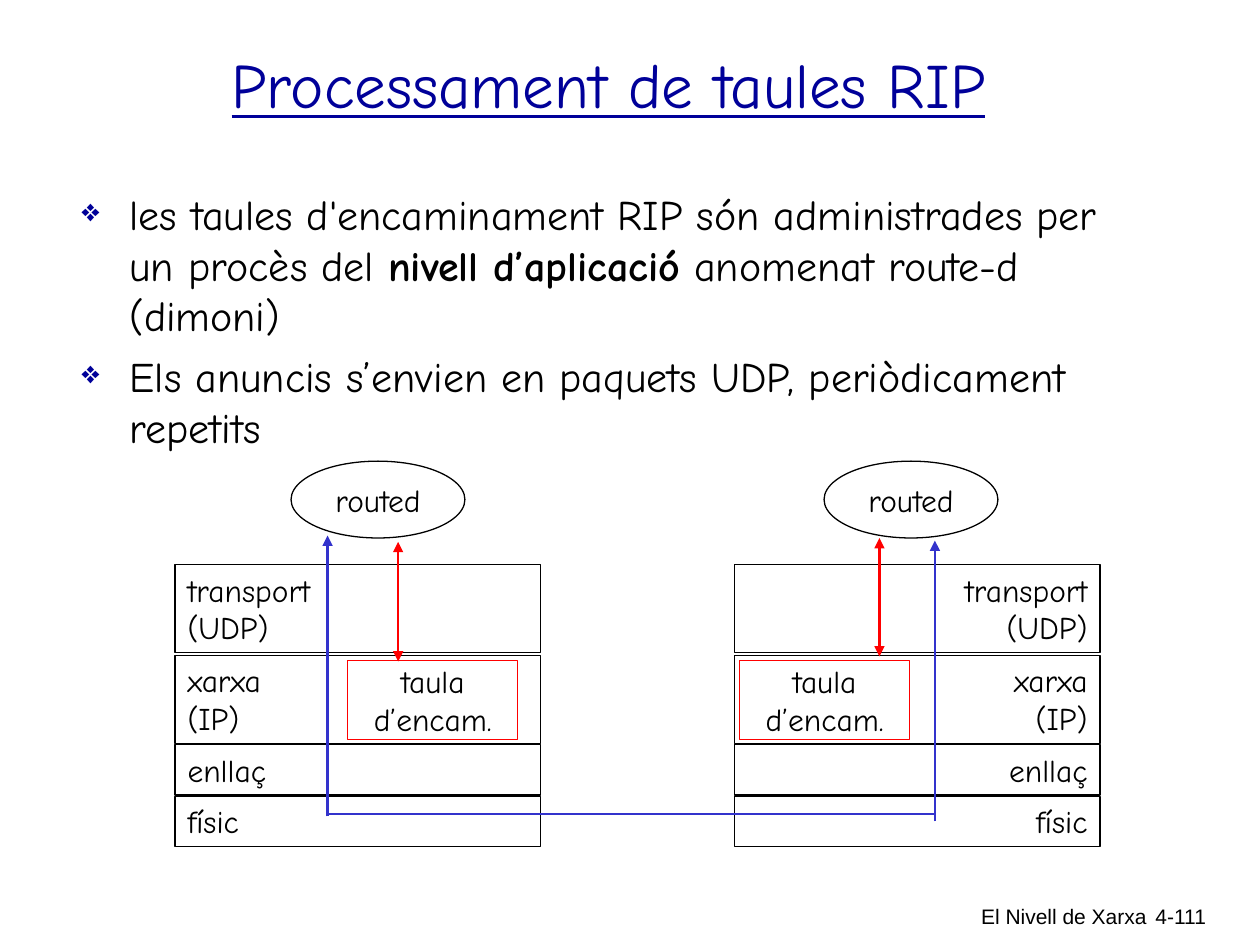
from lxml import etree
from pptx import Presentation
from pptx import util as u
from pptx.dml.color import RGBColor
from pptx.enum import shapes, text
from pptx.oxml import ns

BLACK = RGBColor(0x00, 0x00, 0x00)
NAVY = RGBColor(0x00, 0x00, 0x99)
BLUE = RGBColor(0x33, 0x33, 0xCC)
RED = RGBColor(0xFF, 0x00, 0x00)
HAND = "Comic Neue"
LEFT, CENTER, RIGHT = text.PP_ALIGN.LEFT, text.PP_ALIGN.CENTER, text.PP_ALIGN.RIGHT
MIDDLE = text.MSO_ANCHOR.MIDDLE

presentation = Presentation()
presentation.slide_width, presentation.slide_height = u.Inches(10), u.Inches(7.5)
slide = presentation.slides.add_slide(presentation.slide_layouts[6])

# Grid of 100 columns by 75 rows with square cells
CELL = presentation.slide_width // 100


def add_box(place, content="", size=18, color=BLACK, font=HAND, align=LEFT,
            anchor=text.MSO_ANCHOR.TOP, outline=None, kind=None, wrap=True):
    """Add a text box, or an unfilled outlined shape when a kind is given."""
    place = [round(value * CELL) for value in place]
    if kind is None:
        shape = slide.shapes.add_textbox(*place)
    else:
        shape = slide.shapes.add_shape(kind, *place)
        shape.shadow.inherit = False
        shape.fill.background()
        shape.line.color.rgb = outline
        shape.line.width = u.Pt(0.75)
    frame = shape.text_frame
    frame.text = content
    frame.word_wrap = wrap
    frame.vertical_anchor = anchor
    for paragraph in frame.paragraphs:
        paragraph.alignment = align
        for run in paragraph.runs:
            run.font.name, run.font.size = font, u.Pt(size)
            run.font.color.rgb = color
    return shape


def add_line(x1, y1, x2, y2, color, ends=()):
    """Add a straight line; ends lists headEnd and/or tailEnd arrowheads."""
    line = slide.shapes.add_connector(
        shapes.MSO_CONNECTOR.STRAIGHT, *[round(v * CELL) for v in (x1, y1, x2, y2)])
    line.line.color.rgb = color
    line.line.width = u.Pt(1.5)
    for end in ends:
        etree.SubElement(line.line._get_or_add_ln(), ns.qn("a:" + end), type="triangle")
    etree.SubElement(line._element.spPr, ns.qn("a:effectLst"))


# Footer and title
add_box((60.3, 71.2, 31.7, 4.1), "El Nivell de Xarxa", 12, font="Arial", align=RIGHT)
add_box((89.3, 71.2, 7.4, 3.8), "4-111", 12, font="Arial", align=RIGHT)
title = add_box((5.8, 2.5, 85, 8.2), "Processament de taules RIP", 36, NAVY,
                align=CENTER, anchor=MIDDLE)
title.text_frame.paragraphs[0].runs[0].font.underline = True

# Bulleted text; the second run of a paragraph is bold
bullets = [
    ["les taules d'encaminament RIP són administrades per un procès del ",
     "nivell d’aplicació", " anomenat route-d (dimoni)"],
    ["Els anuncis s’envien en paquets UDP, periòdicament repetits"],
]
body = add_box((5.5, 14.5, 85, 50.8)).text_frame
for index, parts in enumerate(bullets):
    paragraph = body.add_paragraph() if index else body.paragraphs[0]
    properties = paragraph._p.get_or_add_pPr()
    properties.set("marL", str(u.Inches(0.38)))
    properties.set("indent", str(-u.Inches(0.38)))
    bullet_color = etree.SubElement(properties, ns.qn("a:buClr"))
    etree.SubElement(bullet_color, ns.qn("a:srgbClr"), val=str(NAVY))
    etree.SubElement(properties, ns.qn("a:buSzPct"), val="75000")
    etree.SubElement(properties, ns.qn("a:buChar"), char="❖")
    if index:
        paragraph.space_before = u.Pt(6)
    for position, part in enumerate(parts):
        run = paragraph.add_run()
        run.text = part
        run.font.name, run.font.size = HAND, u.Pt(24)
        run.font.bold = position == 1
        run.font.color.rgb = BLACK

# Two protocol stacks: left edge, alignment, then x of table, oval and arrows
layers = [("físic", 63.2, 4), ("enllaç", 59.1, 4),
          ("xarxa\n(IP)", 52, 7), ("transport\n(UDP)", 44.8, 7)]
stacks = [
    (13.9, LEFT, 27.6, 23.1, (26, 64.8, 42.5), (31.6, 43, 52.5)),
    (58.3, RIGHT, 58.7, 65.4, (74.2, 65.2, 42.9), (69.8, 42.7, 52.1)),
]
for left, align, table_left, oval_left, packet, update in stacks:
    for label, top, height in layers:
        add_box((left, top, 29, height), label, align=align, outline=BLACK,
                kind=shapes.MSO_SHAPE.RECTANGLE)
    add_box((table_left, 52.4, 13.5, 6.3), "taula\nd’encam.", align=CENTER,
            anchor=MIDDLE, outline=RED, kind=shapes.MSO_SHAPE.RECTANGLE, wrap=False)
    add_box((oval_left, 36.6, 13.8, 6.1), "routed", align=CENTER, anchor=MIDDLE,
            outline=BLACK, kind=shapes.MSO_SHAPE.OVAL, wrap=False)
    x, start, end = packet
    add_line(x, start, x, end, BLUE, ["tailEnd"])
    x, start, end = update
    add_line(x, start, x, end, RED, ["headEnd", "tailEnd"])

# Physical link between the stacks
add_line(26, 64.6, 74.2, 64.6, BLUE)

presentation.save("out.pptx")
